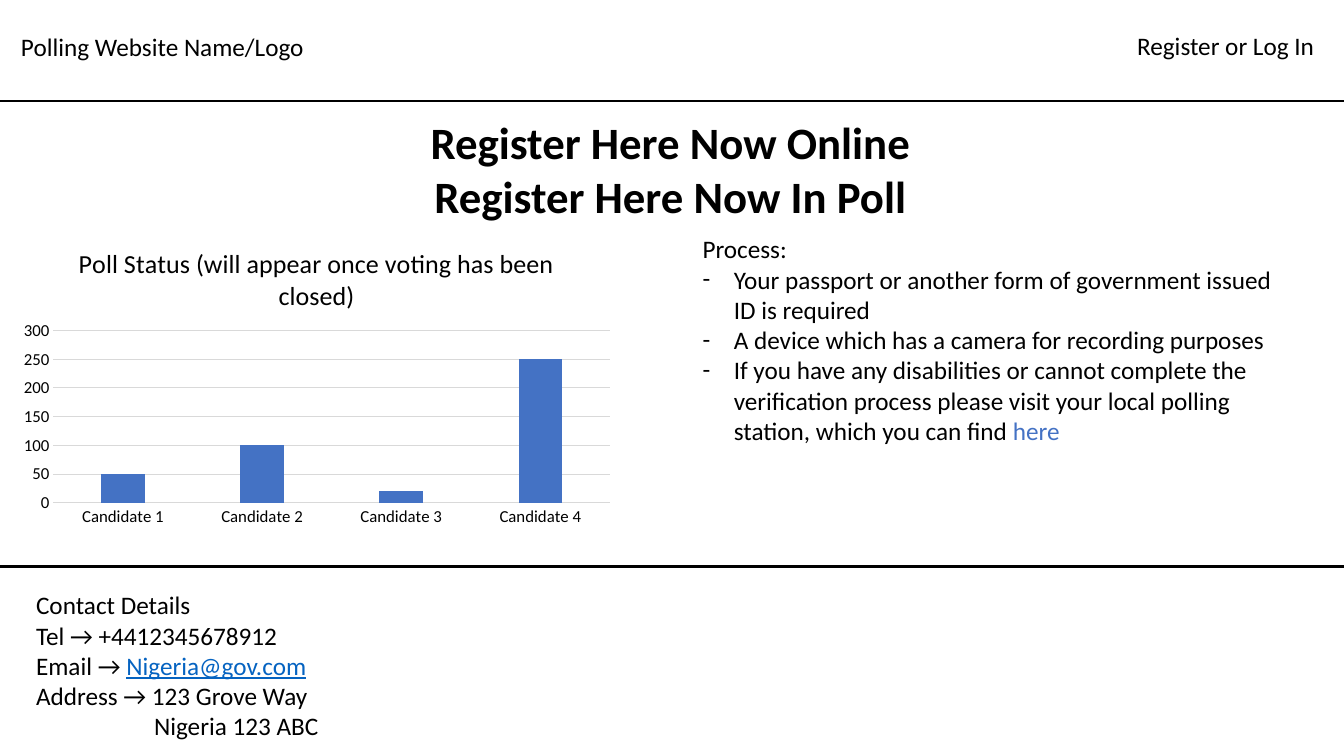
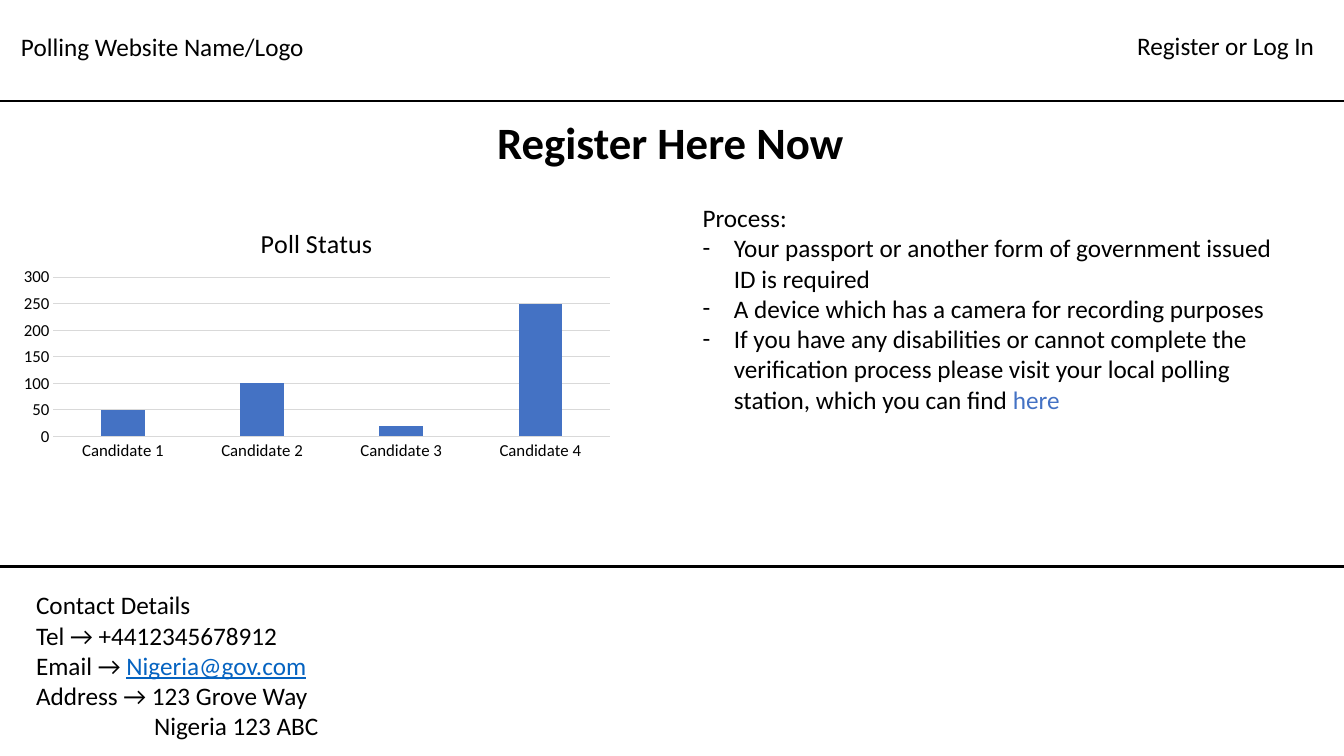
from dataclasses import dataclass

from lxml import etree
from pptx import Presentation
from pptx.chart.data import CategoryChartData
from pptx.dml.color import RGBColor
from pptx.enum.chart import XL_CHART_TYPE, XL_TICK_MARK
from pptx.enum.shapes import MSO_CONNECTOR
from pptx.enum.text import MSO_AUTO_SIZE, PP_ALIGN
from pptx.oxml.ns import qn
from pptx.util import Inches, Pt

COLUMNS = XL_CHART_TYPE.COLUMN_CLUSTERED
NO_TICKS = XL_TICK_MARK.NONE
STRAIGHT = MSO_CONNECTOR.STRAIGHT
GROW = MSO_AUTO_SIZE.SHAPE_TO_FIT_TEXT
LEFT, CENTER = PP_ALIGN.LEFT, PP_ALIGN.CENTER


@dataclass(frozen=True)
class Theme:
    font: str = "Calibri"
    text: RGBColor = RGBColor(0x00, 0x00, 0x00)
    accent: RGBColor = RGBColor(0x44, 0x72, 0xC4)
    link: RGBColor = RGBColor(0x05, 0x63, 0xC1)
    grid: RGBColor = RGBColor(0xD9, 0xD9, 0xD9)
    heading_size: float = 32
    chart_title_size: float = 18.6
    body_size: float = 18
    axis_size: float = 12
    rule_width: float = 1.5
    grid_width: float = 0.75


THEME = Theme()
SLIDE_WIDTH, SLIDE_HEIGHT = 13.33, 7.5
RULE_TOPS = (1, 5.62)
CHART_LEFT, CHART_WIDTH = 0.11, 6.06
PLOT_LEFT, PLOT_WIDTH, PLOT_BOTTOM_GAP = 0.42, 5.52, 0.3
BULLET_INDENT = 0.31
ADDRESS_INDENT = 1.17

CANDIDATES = ["Candidate 1", "Candidate 2", "Candidate 3", "Candidate 4"]
VOTES = [50, 100, 20, 250]
CONTACT = [
    "Contact Details",
    "Tel → +4412345678912",
    "Email → ",
    "Address → 123 Grove Way",
    "Nigeria 123 ABC",
]
PROCESS = [
    "Process:",
    "Your passport or another form of government issued ID is required",
    "A device which has a camera for recording purposes",
    "If you have any disabilities or cannot complete the verification process "
    "please visit your local polling station, which you can find ",
]
PAGES = [
    {
        "heading": ["Register Here Now Online", "Register Here Now In Poll"],
        "heading_height": 1.18,
        "chart_title": "Poll Status (will appear once voting has been closed)",
        "chart_top": 2.27,
        "chart_height": 3.02,
        "plot_top": 1.01,
        "process_top": 2.27,
    },
    {
        "heading": ["Register Here Now"],
        "heading_height": 0.64,
        "chart_title": "Poll Status",
        "chart_top": 2.08,
        "chart_height": 2.55,
        "plot_top": 0.67,
        "process_top": 1.96,
    },
]


def add_run(paragraph, text, size=THEME.body_size, color=THEME.text, bold=False, underline=False):
    run = paragraph.add_run()
    run.text = text
    run.font.name = THEME.font
    run.font.size = Pt(size)
    run.font.bold = bold
    run.font.underline = underline
    run.font.color.rgb = color


def add_text(slide, lines, box, align=LEFT, **run_format):
    frame = slide.shapes.add_textbox(*map(Inches, box)).text_frame
    frame.word_wrap = True
    frame.auto_size = GROW
    for index, line in enumerate(lines):
        paragraph = frame.add_paragraph() if index else frame.paragraphs[0]
        paragraph.alignment = align
        add_run(paragraph, line, **run_format)
    return frame.paragraphs


presentation = Presentation()
presentation.slide_width = Inches(SLIDE_WIDTH)
presentation.slide_height = Inches(SLIDE_HEIGHT)
blank_layout = presentation.slide_layouts[6]

for page in PAGES:
    slide = presentation.slides.add_slide(blank_layout)

    add_text(slide, ["Polling Website Name/Logo"], (0.11, 0.26, 5.79, 0.4))
    add_text(slide, ["Register or Log In"], (11.18, 0.25, 2.01, 0.4))
    for top in RULE_TOPS:
        rule = slide.shapes.add_connector(
            STRAIGHT, Inches(0), Inches(top), Inches(SLIDE_WIDTH), Inches(top)
        )
        rule.line.color.rgb = THEME.text
        rule.line.width = Pt(THEME.rule_width)
        etree.SubElement(rule.element.find(qn("p:spPr")), qn("a:effectLst"))

    add_text(
        slide, page["heading"], (0.11, 1.09, 13.08, page["heading_height"]),
        align=CENTER, size=THEME.heading_size, bold=True,
    )

    chart_data = CategoryChartData()
    chart_data.categories = CANDIDATES
    chart_data.add_series("Series 1", VOTES)
    chart_height = page["chart_height"]
    chart = slide.shapes.add_chart(
        COLUMNS, Inches(CHART_LEFT), Inches(page["chart_top"]),
        Inches(CHART_WIDTH), Inches(chart_height), chart_data,
    ).chart
    chart.font.name = THEME.font
    chart.font.size = Pt(THEME.axis_size)
    chart.font.color.rgb = THEME.text
    chart.has_legend = False
    chart.has_title = True
    add_run(
        chart.chart_title.text_frame.paragraphs[0], page["chart_title"],
        size=THEME.chart_title_size,
    )
    chart.chart_title.include_in_layout = False

    plot = chart.plots[0]
    plot.vary_by_categories = False
    plot.gap_width = 219
    plot.overlap = -27
    columns = plot.series[0].format.fill
    columns.solid()
    columns.fore_color.rgb = THEME.accent

    value_axis, category_axis = chart.value_axis, chart.category_axis
    for axis in (value_axis, category_axis):
        axis.major_tick_mark = NO_TICKS
        axis.minor_tick_mark = NO_TICKS
    value_axis.minimum_scale = 0
    value_axis.maximum_scale = 300
    value_axis.major_unit = 50
    value_axis.format.line.fill.background()
    for line in (category_axis.format.line, value_axis.major_gridlines.format.line):
        line.color.rgb = THEME.grid
        line.width = Pt(THEME.grid_width)

    plot_area = chart.element.find(".//" + qn("c:plotArea"))
    for layout in plot_area.findall(qn("c:layout")):
        plot_area.remove(layout)
    layout = etree.Element(qn("c:layout"))
    plot_area.insert(0, layout)
    manual_layout = etree.SubElement(layout, qn("c:manualLayout"))
    plot_height = chart_height - page["plot_top"] - PLOT_BOTTOM_GAP
    for tag, value in (
        ("layoutTarget", "inner"),
        ("xMode", "edge"),
        ("yMode", "edge"),
        ("x", PLOT_LEFT / CHART_WIDTH),
        ("y", page["plot_top"] / chart_height),
        ("w", PLOT_WIDTH / CHART_WIDTH),
        ("h", plot_height / chart_height),
    ):
        etree.SubElement(manual_layout, qn("c:" + tag)).set("val", str(value))

    contact = add_text(slide, CONTACT, (0.26, 5.8, 5.54, 1.62))
    add_run(contact[2], "Nigeria@gov.com", color=THEME.link, underline=True)
    contact[-1]._p.get_or_add_pPr().set("marL", str(Inches(ADDRESS_INDENT)))

    process = add_text(slide, PROCESS, (6.87, page["process_top"], 6.07, 2.83))
    add_run(process[-1], "here", color=THEME.accent)
    for paragraph in process[1:]:
        properties = paragraph._p.get_or_add_pPr()
        properties.set("marL", str(Inches(BULLET_INDENT)))
        properties.set("indent", str(-Inches(BULLET_INDENT)))
        etree.SubElement(properties, qn("a:buFont")).set("typeface", THEME.font)
        etree.SubElement(properties, qn("a:buChar")).set("char", "-")

presentation.save("out.pptx")
